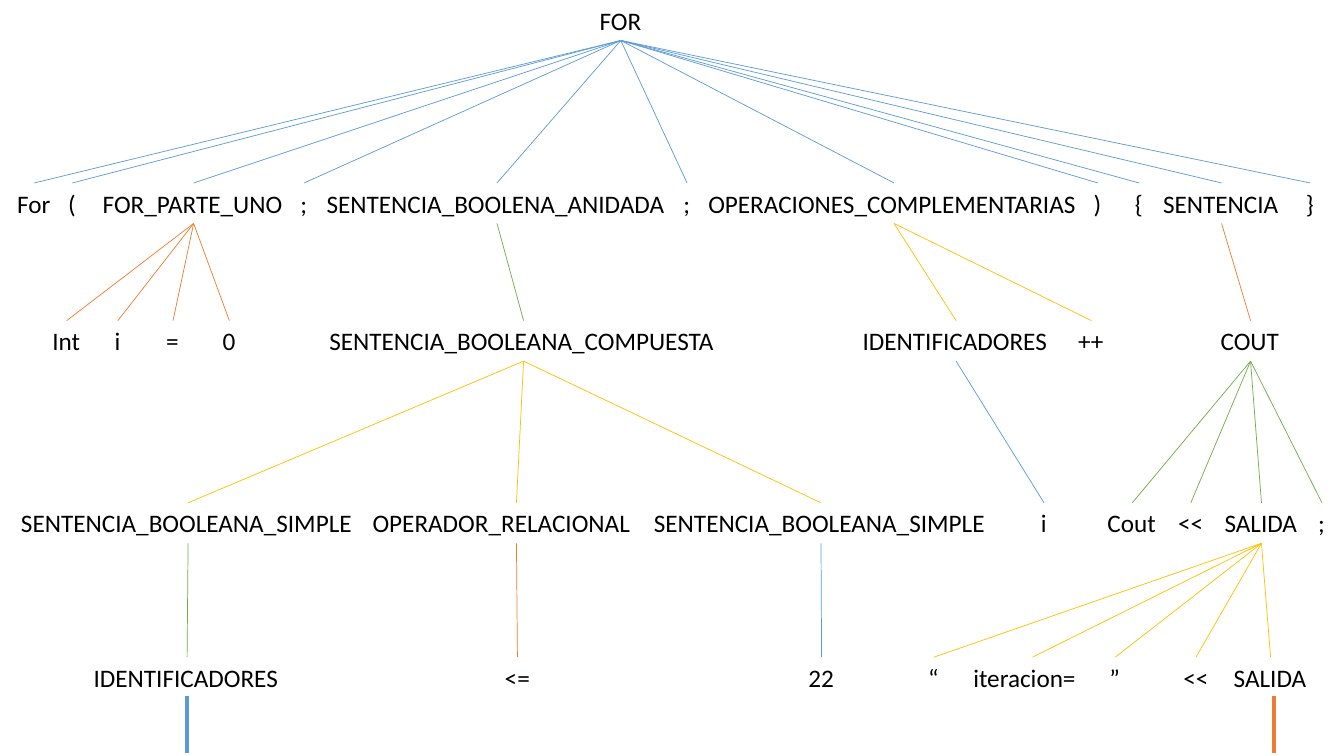
from lxml import etree
from pptx import Presentation
from pptx.dml.color import RGBColor
from pptx.enum.shapes import MSO_CONNECTOR
from pptx.enum.text import MSO_AUTO_SIZE
from pptx.oxml.ns import qn
from pptx.util import Cm, Pt

STRAIGHT = MSO_CONNECTOR.STRAIGHT
FIT_SHAPE = MSO_AUTO_SIZE.SHAPE_TO_FIT_TEXT

BLUE, ORANGE, GREEN, GOLD = "5B9BD5", "ED7D31", "70AD47", "FFC000"
BLACK = "000000"

LEVEL_TOPS = [0, 4.61, 8.08, 12.67, 16.56]
LABEL_HEIGHT = 1.02
LABEL_WIDTHS = {
    "FOR": 1.57, "For": 1.37, "(": 0.71, ")": 0.71, "{": 0.71, "}": 0.71, ";": 0.69,
    "FOR_PARTE_UNO": 5.08, "SENTENCIA_BOOLENA_ANIDADA": 9.09,
    "OPERACIONES_COMPLEMENTARIAS": 9.86, "SENTENCIA": 3.45,
    "Int": 1.22, "i": 0.66, "=": 0.84, "0": 0.84, "++": 1.17, "COUT": 2.01,
    "SENTENCIA_BOOLEANA_COMPUESTA": 10.29, "IDENTIFICADORES": 5.21,
    "SENTENCIA_BOOLEANA_SIMPLE": 8.92, "OPERADOR_RELACIONAL": 7.75,
    "Cout": 1.75, "<<": 1.14, "SALIDA": 2.36, "<=": 1.14, "22": 1.17,
    "“": 0.79, "”": 0.79, "iteracion=": 3.48,
}
WRAPPED_LABELS = {"OPERADOR_RELACIONAL", "iteracion="}

PART_ONE = ("FOR_PARTE_UNO", 2.34, ORANGE, [
    ("Int", 1.07), ("i", 2.64), ("=", 3.94), ("0", 5.36),
])
CONDITION = ("SENTENCIA_BOOLENA_ANIDADA", 7.98, GREEN, [
    ("SENTENCIA_BOOLEANA_COMPUESTA", 8.05, GOLD, [
        ("SENTENCIA_BOOLEANA_SIMPLE", 0.28, GREEN, [("IDENTIFICADORES", 2.11)]),
        ("OPERADOR_RELACIONAL", 9.14, ORANGE, [("<=", 12.47)]),
        ("SENTENCIA_BOOLEANA_SIMPLE", 16.23, BLUE, [("22", 20.12)]),
    ]),
])
INCREMENT = ("OPERACIONES_COMPLEMENTARIAS", 17.6, GOLD, [
    ("IDENTIFICADORES", 21.49, BLUE, [("i", 25.98)]),
    ("++", 26.92),
])
STATEMENT = ("SENTENCIA", 29.06, ORANGE, [
    ("COUT", 30.51, GREEN, [
        ("Cout", 27.66),
        ("<<", 29.44),
        ("SALIDA", 30.61, GOLD, [
            ("“", 23.14), ("iteracion=", 24.28), ("”", 27.71),
            ("<<", 29.57), ("SALIDA", 30.84),
        ]),
        (";", 32.97),
    ]),
])
TREE = ("FOR", 14.86, BLUE, [
    ("For", 0.18), ("(", 1.47), PART_ONE, (";", 7.32), CONDITION, (";", 16.97),
    INCREMENT, (")", 27.31), ("{", 28.35), STATEMENT, ("}", 32.66),
])
CONTINUATIONS = [(4.72, BLUE), (32.11, ORANGE)]
CONTINUATION_TOP, CONTINUATION_BOTTOM = 17.53, 18.97


def colour(value):
    return RGBColor.from_string(value)


def draw_line(page, start, end, line_colour, width):
    line = page.shapes.add_connector(STRAIGHT, *map(Cm, start + end))
    line.line.color.rgb = colour(line_colour)
    line.line.width = Pt(width)
    etree.SubElement(line._element.spPr, qn("a:effectLst"))


def draw_label(page, label, left, top):
    box = page.shapes.add_textbox(Cm(left), Cm(top), Cm(LABEL_WIDTHS[label]), Cm(LABEL_HEIGHT))
    frame = box.text_frame
    frame.text = label
    frame.word_wrap = label in WRAPPED_LABELS
    frame.auto_size = FIT_SHAPE
    font = frame.paragraphs[0].runs[0].font
    font.name = "Calibri"
    font.size = Pt(18)
    font.color.rgb = colour(BLACK)


def centre(node):
    return node[1] + LABEL_WIDTHS[node[0]] / 2


def draw_node(page, node, level=0):
    label, left, *branches = node
    top = LEVEL_TOPS[level]
    draw_label(page, label, left, top)
    if branches:
        branch_colour, children = branches
        for child in children:
            start = (centre(node), top + LABEL_HEIGHT)
            end = (centre(child), LEVEL_TOPS[level + 1])
            draw_line(page, start, end, branch_colour, 0.5)
            draw_node(page, child, level + 1)


deck = Presentation()
deck.slide_width, deck.slide_height = Cm(33.87), Cm(19.05)
page = deck.slides.add_slide(deck.slide_layouts[6])
draw_node(page, TREE)
for x, line_colour in CONTINUATIONS:
    draw_line(page, (x, CONTINUATION_TOP), (x, CONTINUATION_BOTTOM), line_colour, 3)
deck.save("out.pptx")
